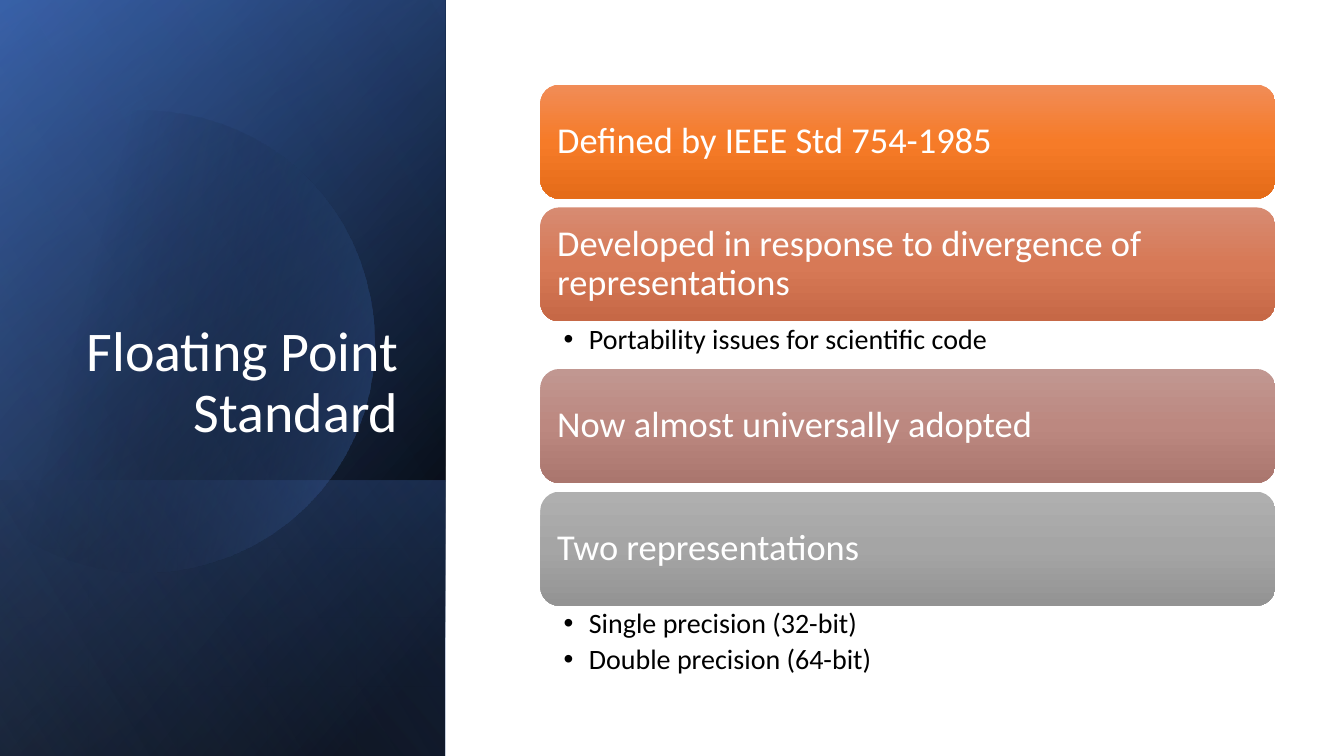
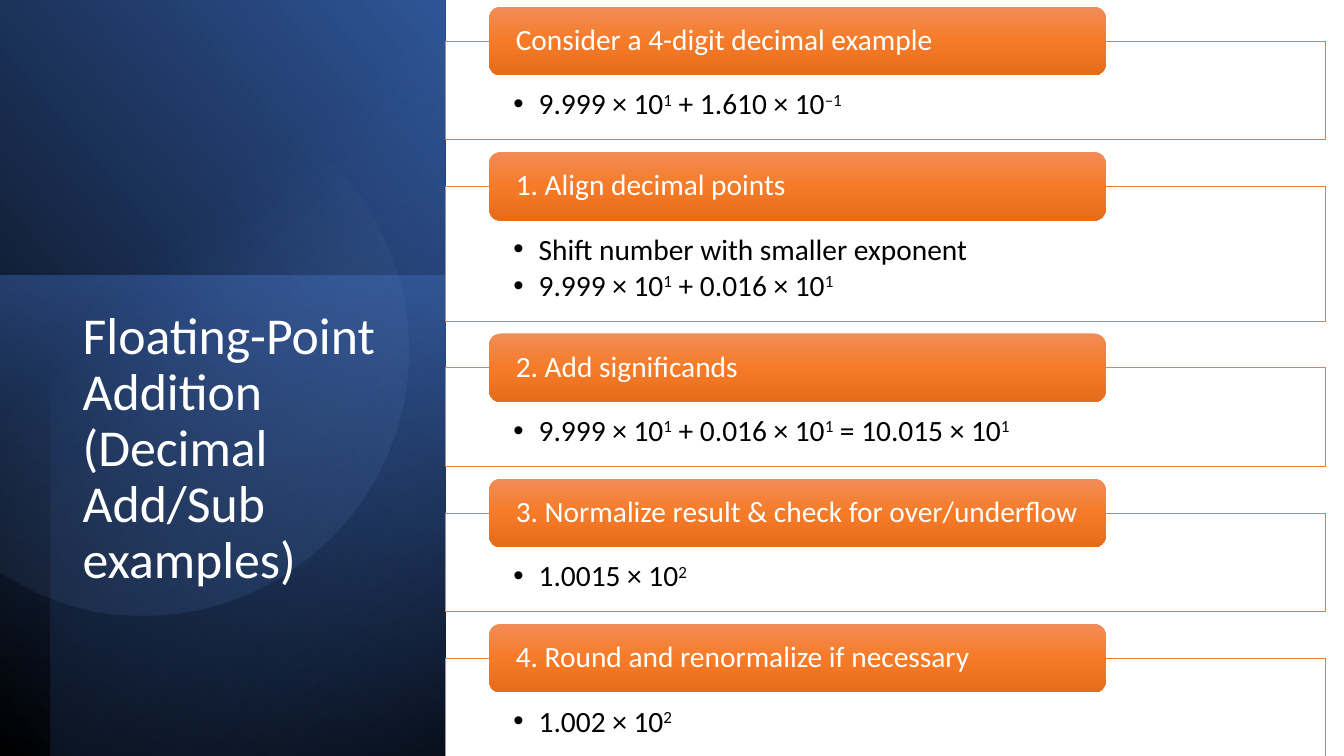
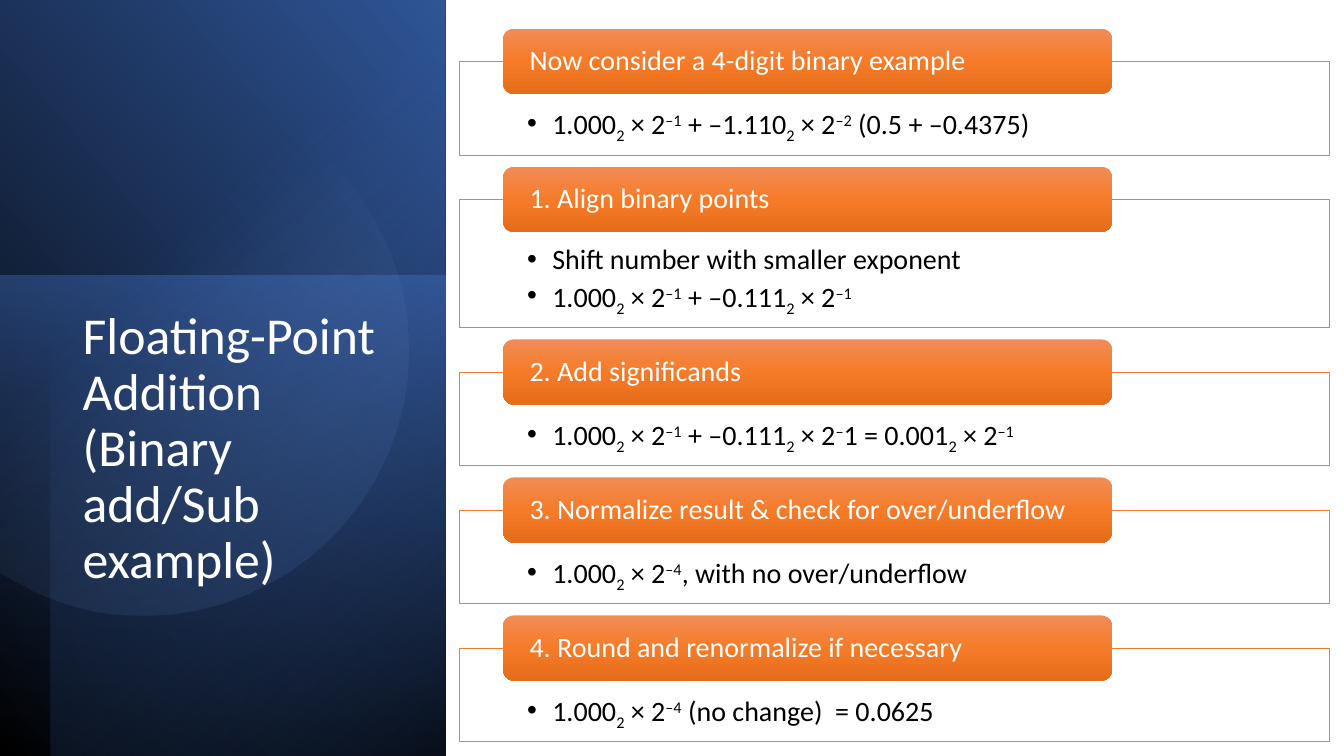
from lxml import etree
from pptx import Presentation
from pptx.dml.color import RGBColor
from pptx.enum import shapes, text
from pptx.oxml.ns import qn
from pptx.util import Pt

# Shared look
FONT, WHITE, BLACK = "Calibri", "FFFFFF", "000000"
EDGE, BLUE, NAVY, PALE = "ED7D31", "4472C4", "2F5597", "8FAADC"
WIDE, HIGH, SIDE = 960, 540, 318
ORANGE = ("F18C57", "F67B28", "E56C19")
BASE = {"^": 30000, "_": -25000}

# Content: "|" parts runs, "^" raises and "_" lowers a run
FACTS = [
    ("Defined by IEEE Std 754-1985", [], ORANGE),
    ("Developed in response to divergence of representations",
     ["Portability issues for scientific code"], ("D78B72", "D77956", "C66846")),
    ("Now almost universally adopted", [], ("C19791", "BC8880", "AA766E")),
    ("Two representations",
     ["Single precision (32-bit)", "Double precision (64-bit)"],
     ("AFAFAF", "A5A5A5", "939393")),
]
STEPS = [
    dict(title="Floating-Point Addition (Decimal Add/Sub examples)",
         left=318, top=29.3, width=629, body=70.5, extra=26, step=103.7, head=49, size=21,
         items=[
             ("Consider a 4-digit decimal example", ["9.999 × 10|^1| + 1.610 × 10|^–1"]),
             ("1. Align decimal points",
              ["Shift number with smaller exponent", "9.999 × 10|^1| + 0.016 × 10|^1"]),
             ("2. Add significands",
              ["9.999 × 10|^1| + 0.016 × 10|^1| = 10.015 × 10|^1"]),
             ("3. Normalize result & check for over/underflow", ["1.0015 × 10|^2"]),
             ("4. Round and renormalize if necessary", ["1.002 × 10|^2"])]),
    dict(title="Floating-Point Addition (Binary add/Sub example)",
         left=328.3, top=43.8, width=621.4, body=67, extra=24.7, step=98.6, head=46.6, size=20,
         items=[
             ("Now consider a 4-digit binary example",
              ["1.000|_2| × 2|^–1| + –1.110|_2| × 2|^–2| (0.5 + –0.4375)"]),
             ("1. Align binary points",
              ["Shift number with smaller exponent",
               "1.000|_2| × 2|^–1| + –0.111|_2| × 2|^–1"]),
             ("2. Add significands",
              ["1.000|_2| × 2|^–1| + –0.111|_2| × 2|^–|1 = 0.001|_2| × 2|^–1"]),
             ("3. Normalize result & check for over/underflow",
              ["1.000|_2| × 2|^–4|, with no over/underflow"]),
             ("4. Round and renormalize if necessary",
              ["1.000|_2| × 2|^–4| (no change)  = 0.0625"])]),
]

# Side panels: (visible box, turn, flip, stops, angle); stop = place, colour, opacity
FULL = (0, 0, SIDE, HIGH)
DARK = [
    (FULL, 90, True, [(8, BLACK, 100), (100, NAVY, 100)], 50),
    (FULL, 90, True, [(0, BLACK, 0), (99, BLUE, 46)], 30),
    ((0, 343, SIDE, 197), 90, True, [(2, BLUE, 29), (100, BLACK, 30)], 130),
]
SHEEN = (FULL, 90, True, [(0, BLACK, 0), (99, PALE, 11)], 120)
LIT = [
    (FULL, 90, True, [(0, BLACK, 100), (100, NAVY, 100)], 310),
    ((0, 197, SIDE, 343), 270, False, [(0, BLUE, 50), (100, "203864", 0)], 190),
    ((36, 0, SIDE - 36, HIGH), 270, True, [(0, BLACK, 59), (69, BLUE, 0)], 220),
]

# Discs: points of an outline; two numbers make a line, six a curve
DISC_A = ([(107, 79), (177, 81, 241, 127, 261, 198), (287, 286, 236, 377, 149, 402),
           (94, 418, 38, 404, -2, 370), (-11, 362), (-11, 126), (0, 116),
           (17, 102, 36, 92, 58, 86), (74, 81, 91, 79, 107, 79)],
          [(29, BLACK, 0), (100, BLUE, 43)], 14)
DISC_B = ([(103, 60.5), (115, 60.5, 128, 62, 141, 64), (243, 86, 309, 186, 288, 288),
           (267, 390, 167, 456, 65, 436), (45, 431, 27, 425, 11, 415), (0, 409), (0, 91),
           (14, 83), (41, 68, 71, 60.5, 103, 60.5)],
          [(39, PALE, 0), (100, NAVY, 26)], 51.6)


def rgb(code):
    return RGBColor.from_string(code)


def blend(shape, stops, angle):
    """Fill with a straight gradient, without line or shadow."""
    shape.shadow.inherit = False
    shape.line.fill.background()
    shape.fill.gradient()
    grad = shape._element.spPr.find(qn("a:gradFill"))
    grad.find(qn("a:lin")).set("ang", str(round(angle * 60000)))
    rows = grad.find(qn("a:gsLst"))
    for old in list(rows):
        rows.remove(old)
    for place, code, alpha in stops:
        stop = etree.SubElement(rows, qn("a:gs"), pos=str(place * 1000))
        tint = etree.SubElement(stop, qn("a:srgbClr"), val=code)
        if alpha < 100:
            etree.SubElement(tint, qn("a:alpha"), val=str(alpha * 1000))


def write(shape, lines, size, color=WHITE, inset=(7.2, 3.6, 7.2, 3.6), anchor="TOP",
          align="LEFT", after=0, bullet=False):
    frame = shape.text_frame
    frame.word_wrap = True
    frame.vertical_anchor = getattr(text.MSO_ANCHOR, anchor)
    (frame.margin_left, frame.margin_top,
     frame.margin_right, frame.margin_bottom) = map(Pt, inset)
    for i, line in enumerate(lines):
        para = frame.add_paragraph() if i else frame.paragraphs[0]
        para.alignment = getattr(text.PP_ALIGN, align)
        para.line_spacing = 0.9
        para.space_after = Pt(after)
        if bullet:
            props = para._p.get_or_add_pPr()
            props.set("marL", str(Pt(18)))
            props.set("indent", str(-Pt(18)))
            etree.SubElement(props, qn("a:buFont"), typeface="Arial")
            etree.SubElement(props, qn("a:buChar"), char="•")
        for part in line.split("|"):
            run = para.add_run()
            run.text = part.lstrip("^_")
            run.font.size, run.font.name = Pt(size), FONT
            run.font.color.rgb = rgb(color)
            if part[0] in BASE:
                run.font._element.set("baseline", str(BASE[part[0]]))


def add(slide, kind, *box):
    return slide.shapes.add_shape(getattr(shapes.MSO_SHAPE, kind), *map(Pt, box))


def label(slide, words, *box, **form):
    write(slide.shapes.add_textbox(*map(Pt, box)), words, **form)


def card(slide, words, tones, box, **form):
    shape = add(slide, "ROUNDED_RECTANGLE", *box)
    blend(shape, [(p, c, 100) for p, c in zip((0, 50, 100), tones)], 90)
    write(shape, [words], anchor="MIDDLE", **form)


def panel(slide, box, turn, flip, stops, angle):
    """A quarter-turned rectangle that covers the visible box."""
    x, y, w, h = box
    shape = add(slide, "RECTANGLE", x + (w - h) / 2, y + (h - w) / 2, h, w)
    shape.rotation = turn
    if flip:
        shape._element.spPr.xfrm.set("flipH", "1")
    blend(shape, stops, angle)


def disc(slide, outline, stops, angle):
    dots = [outline[0]]
    for part in outline[1:]:
        if len(part) == 2:
            dots.append(part)
            continue
        ends = [dots[-1], part[:2], part[2:4], part[4:]]
        for n in range(1, 17):
            t = n / 16
            mix = ((1 - t) ** 3, 3 * t * (1 - t) ** 2, 3 * t * t * (1 - t), t ** 3)
            dots.append(tuple(sum(m * e[k] for m, e in zip(mix, ends)) for k in (0, 1)))
    dots = [(Pt(x), Pt(y)) for x, y in dots]
    form = slide.shapes.build_freeform(*dots[0])
    form.add_line_segments(dots[1:], close=True)
    blend(form.convert_to_shape(), stops, angle)


def page(deck, panels, round_part):
    slide = deck.slides.add_slide(deck.slide_layouts[6])
    for part in panels:
        panel(slide, *part)
    disc(slide, *round_part)
    return slide


def standard(deck):
    slide = page(deck, DARK, DISC_A)
    panel(slide, *SHEEN)
    label(slide, ["Floating Point Standard"], 46, 132.5, 245.5, 188.6,
          size=40, anchor="BOTTOM", align="RIGHT")
    left, width, tall, gap, y = 386, 525, 81.5, 6.2, 60.4
    for head, notes, tones in FACTS:
        card(slide, head, tones, (left, y, width, tall), size=26, inset=[8] * 4)
        y += tall
        if notes:
            room = 12.2 + 21.7 * len(notes)
            label(slide, notes, left, y, width, room, size=20, color=BLACK,
                  inset=(16.6, 2.6, 14.4, 2.6), after=4, bullet=True)
            y += room
        else:
            y += gap


def steps(deck, title, left, top, width, body, extra, step, head, size, items):
    slide = page(deck, LIT, DISC_B)
    label(slide, [title], 52, 218, 227, 242, size=37)
    pad = width * 0.0776
    y = top
    for name, lines in items:
        more = extra * (len(lines) - 1)
        frame = add(slide, "RECTANGLE", left, y, width, body + more)
        frame.shadow.inherit = False
        frame.fill.solid()
        frame.fill.fore_color.rgb = rgb(WHITE)
        frame.line.color.rgb = rgb(EDGE)
        frame.line.width = Pt(0.5)
        write(frame, lines, size, BLACK, inset=(pad, size * 1.65, pad, 11.5),
              after=size * 0.15, bullet=True)
        card(slide, name, ORANGE, (left + width * 0.05, y - head / 2, width * 0.7, head),
             size=size, inset=(16.6, 0, 16.6, 0))
        y += step + more


def main():
    deck = Presentation()
    deck.slide_width, deck.slide_height = Pt(WIDE), Pt(HIGH)
    standard(deck)
    for plan in STEPS:
        steps(deck, **plan)
    deck.save("out.pptx")


if __name__ == "__main__":
    main()
